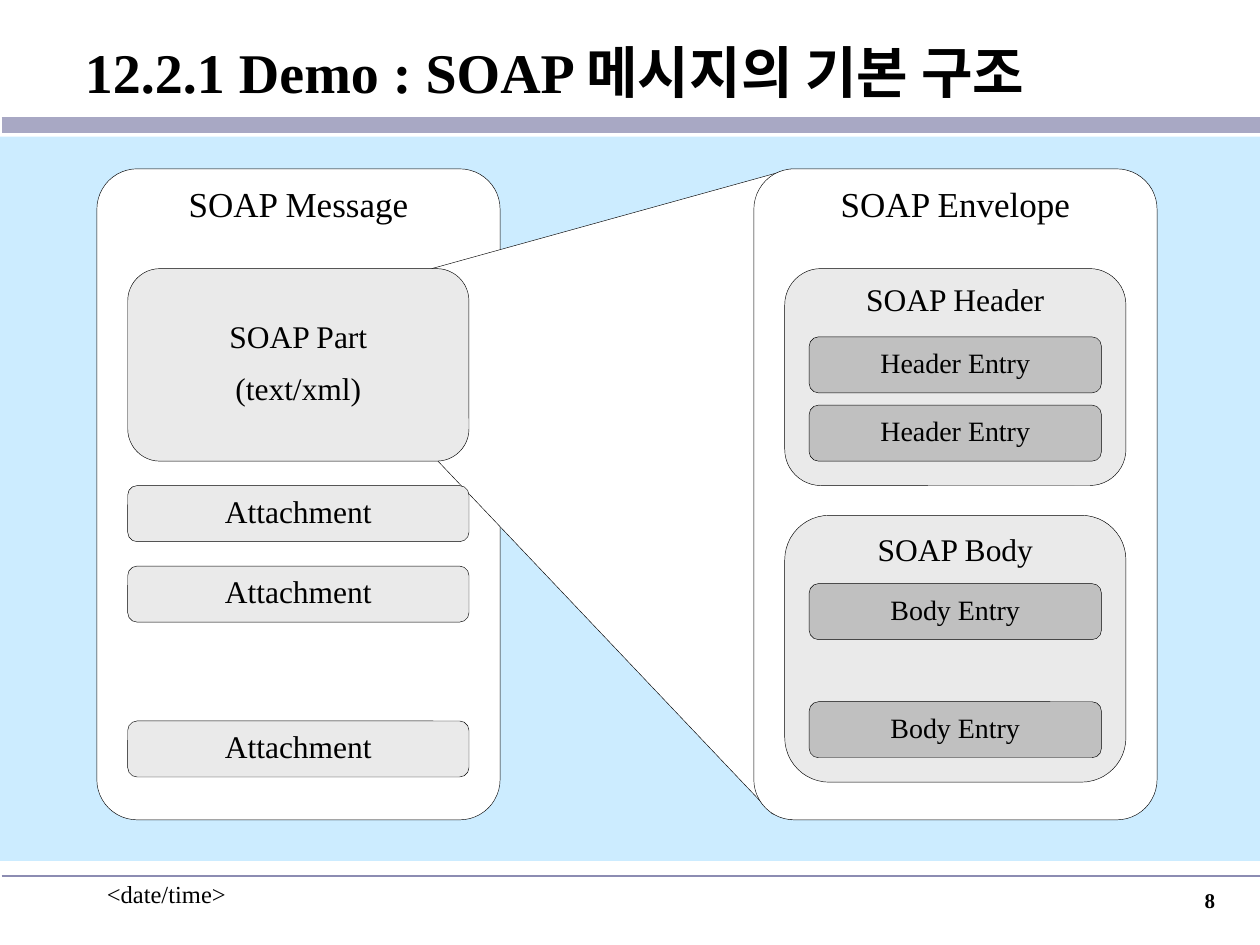
from pptx import Presentation
from pptx.dml.color import RGBColor as Rgb
from pptx.enum.shapes import MSO_CONNECTOR as Link, MSO_SHAPE as Kind
from pptx.enum.text import MSO_ANCHOR as Anchor, PP_ALIGN as Align
from pptx.oxml.ns import qn
from pptx.util import Pt
from lxml import etree

INK = {"text": "000000", "page": "FFFFFF", "sky": "CCECFF", "band": "A8A8C4",
       "rule": "8C8CB2", "part": "EAEAEA", "entry": "C0C0C0"}
FONT = "Times New Roman"
WIDE, HIGH = 720, 540
PAD, INNER, TOP = 17.6, 195, 57  # side gap, block width, first block in a panel
BAR = 32


def color(name):
    return Rgb.from_string(INK[name])


def write(shape, text, size, bold=False, align=Align.LEFT, anchor=Anchor.TOP):
    frame = shape.text_frame
    frame.text = text
    frame.vertical_anchor = anchor
    for para in frame.paragraphs:
        para.alignment = align
        for run in para.runs:
            font = run.font
            font.name, font.size, font.bold = FONT, Pt(size), bold
            font.color.rgb = color("text")
    return frame


def label(slide, box, text, size, **style):
    shape = slide.shapes.add_textbox(*map(Pt, box))
    write(shape, text, size, **style).word_wrap = True


def rule(slide, y, name, weight):
    line = slide.shapes.add_connector(Link.STRAIGHT, Pt(1), Pt(y), Pt(WIDE), Pt(y))
    line.line.color.rgb = color(name)
    line.line.width = Pt(weight)
    etree.SubElement(line._element.spPr, qn("a:effectLst"))


def paint(shape, fill):
    shape.shadow.inherit = False
    shape.fill.solid()
    shape.fill.fore_color.rgb = color(fill)
    shape.line.color.rgb = color("text")
    shape.line.width = Pt(0.25)


def block(slide, box, fill, text, size, curve=0.167, inset=3.6, anchor=Anchor.MIDDLE):
    shape = slide.shapes.add_shape(Kind.ROUNDED_RECTANGLE, *map(Pt, box))
    shape.adjustments[0] = curve
    paint(shape, fill)
    frame = write(shape, text, size, align=Align.CENTER, anchor=anchor)
    frame.word_wrap = False
    frame.margin_top = Pt(inset)
    for num, para in enumerate(frame.paragraphs):
        para.line_spacing = 0.85
        if num:
            para.space_before = Pt(11.2)


def panel(slide, box, text):
    block(slide, box, "page", text, 20, curve=0.1, inset=5, anchor=Anchor.TOP)


def message(slide, box):
    x, y = box[0] + PAD, box[1]
    block(slide, (x, y + TOP, INNER, 110), "part", "SOAP Part\n(text/xml)", 18)
    for down in (181, 227, 315.5):
        block(slide, (x, y + down, INNER, BAR), "part", "Attachment", 18)


def group(slide, box, text, entry, downs):
    x, y, wide, _ = box
    block(slide, box, "part", text, 18, inset=4, anchor=Anchor.TOP)
    for down in downs:
        block(slide, (x + 14, y + down, wide - 28, BAR), "entry", entry, 16)


def envelope(slide, box):
    x, y = box[0] + PAD, box[1]
    panel(slide, box, "SOAP Envelope")
    group(slide, (x, y + TOP, INNER, 124), "SOAP Header", "Header Entry", (39, 78))
    group(slide, (x, y + 198, INNER, 152.5), "SOAP Body", "Body Entry", (39, 106.5))


def wedge(slide, left, right):
    # Zoom from the SOAP part to the envelope
    end, top, base = left[0] + left[2], right[1], right[1] + right[3]
    edge = right[0] + 21.5
    spots = [(edge, top), (edge, base), (right[0] + 10.5, base - 3.5),
             (end - 36, top + 166.5)]
    pen = slide.shapes.build_freeform(Pt(end - 39), Pt(top + TOP))
    pen.add_line_segments([(Pt(x), Pt(y)) for x, y in spots], close=True)
    paint(pen.convert_to_shape(), "page")


def header(slide, box):
    label(slide, box, "12.2.1 Demo : SOAP 메시지의 기본 구조", 32, bold=True,
          anchor=Anchor.MIDDLE)
    rule(slide, 71.5, "band", 9.25)


def footer(slide, box):
    x, y, wide, high = box
    rule(slide, y, "rule", 1)
    label(slide, (x + 54, y - 1.5, 150, 36), "<date/time>", 14)
    label(slide, (x + wide - 168.5, y + 3, 150, 36), "8", 12, bold=True,
          align=Align.RIGHT)


def field(slide, box):
    back = slide.shapes.add_shape(Kind.RECTANGLE, *map(Pt, box))
    paint(back, "sky")
    back.line.fill.background()
    left, right = [(x, box[1] + 18.5, 230.4, 372) for x in (55.4, 430.8)]
    panel(slide, left, "SOAP Message")
    wedge(slide, left, right)
    message(slide, left)
    envelope(slide, right)


def main():
    deck = Presentation()
    deck.slide_width, deck.slide_height = Pt(WIDE), Pt(HIGH)
    slide = deck.slides.add_slide(deck.slide_layouts[6])
    field(slide, (0, 78, WIDE, 414))
    header(slide, (41.5, 8, 678.5, 65))
    footer(slide, (0, 500.5, WIDE, 39.5))
    deck.save("out.pptx")


if __name__ == "__main__":
    main()
